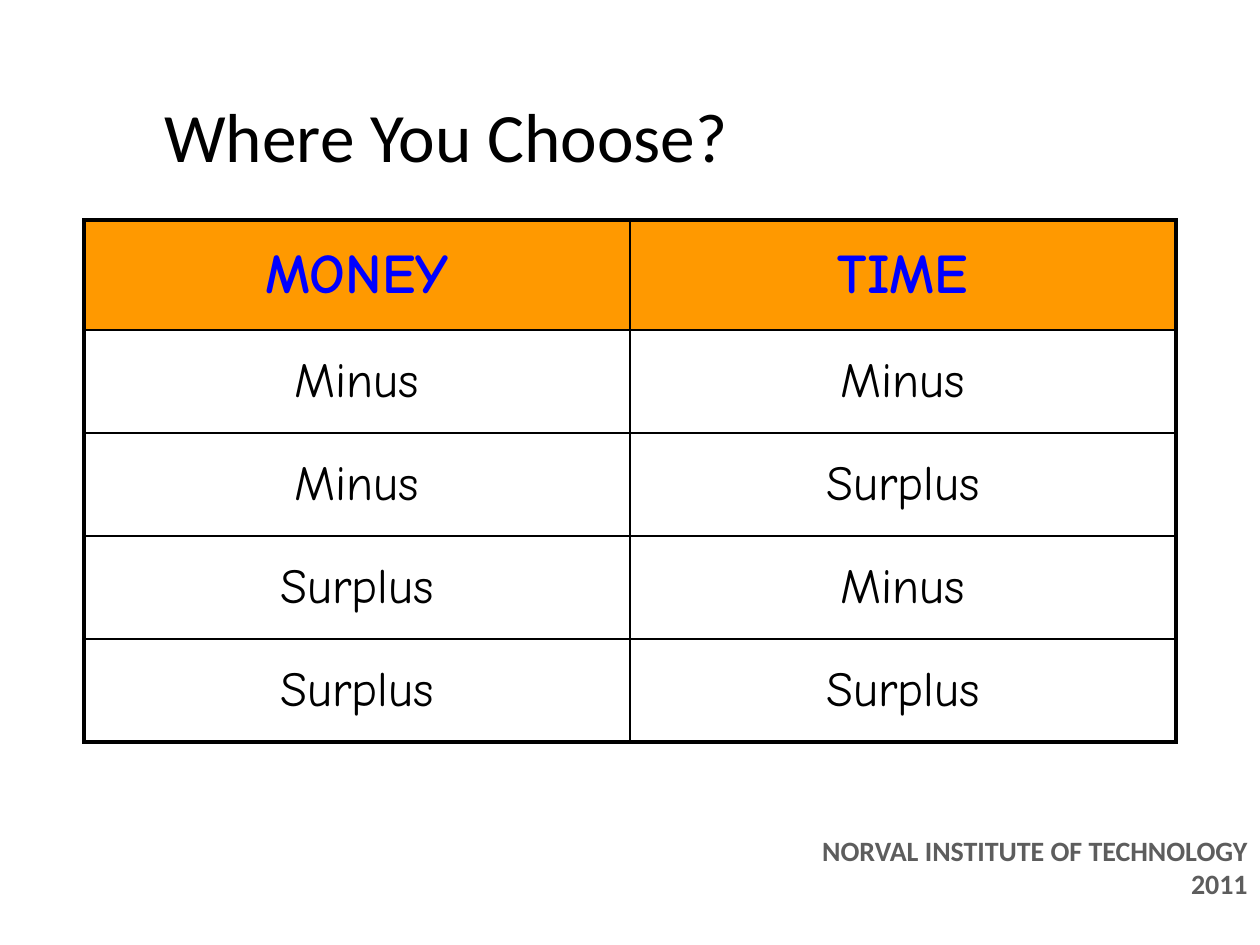
from lxml import etree
from pptx import Presentation
from pptx.dml.color import RGBColor
from pptx.enum.text import MSO_ANCHOR, MSO_AUTO_SIZE, PP_ALIGN
from pptx.oxml.ns import qn
from pptx.util import Emu, Inches, Pt

CENTER, RIGHT = PP_ALIGN.CENTER, PP_ALIGN.RIGHT
MIDDLE = MSO_ANCHOR.MIDDLE
NO_FIT = MSO_AUTO_SIZE.NONE
TITLE_ONLY = 5
PIXEL = Inches(1) / 126
COLORS = {"black": "000000", "orange": "FF9900", "blue": "0000FF", "gray": "5D5D5D"}
THIN, THICK = 1, 2.25


def px(length):
    return Emu(round(length * PIXEL))


def write(frame, text, font="Calibri", size=16, color="black", bold=False,
          align=CENTER, before=0):
    """Fill a text frame, one paragraph for each line of text."""
    for index, line in enumerate(text.split("\n")):
        para = frame.add_paragraph() if index else frame.paragraphs[0]
        para.alignment = align
        para.space_before = Pt(before)
        span = para.add_run()
        span.text = line
        span.font.name = font
        span.font.size = Pt(size)
        span.font.bold = bold
        span.font.color.rgb = RGBColor.from_string(COLORS[color])


class SlideBuilder:
    def __init__(self, slide):
        self.slide = slide
        self.table_font = "Comic Neue"

    def title(self, text, left, top, width, height, **style):
        box = self.slide.shapes.title
        box.left, box.top, box.width, box.height = map(px, (left, top, width, height))
        box.text_frame.auto_size = NO_FIT
        box.text_frame.vertical_anchor = MIDDLE
        write(box.text_frame, text, **style)

    def text(self, text, left, top, width, height, **style):
        box = self.slide.shapes.add_textbox(*map(px, (left, top, width, height)))
        box.text_frame.word_wrap = True
        write(box.text_frame, text, **style)

    def borders(self, cell, widths):
        properties = cell._tc.get_or_add_tcPr()
        for index, (side, width) in enumerate(widths.items()):
            line = etree.Element(qn(f"a:ln{side}"), w=str(Pt(width)))
            fill = etree.SubElement(line, qn("a:solidFill"))
            etree.SubElement(fill, qn("a:srgbClr"), val=COLORS["black"])
            properties.insert(index, line)

    def table(self, rows, left, top, column_width, heights):
        count, columns = len(rows), len(rows[0])
        table = self.slide.shapes.add_table(
            count, columns, px(left), px(top),
            px(column_width * columns), px(sum(heights))).table
        table.first_row = table.horz_banding = False
        for column in table.columns:
            column.width = px(column_width)
        for r, values in enumerate(rows):
            table.rows[r].height = px(heights[r])
            header = r == 0
            size = 32 if header else 28
            for c, value in enumerate(values):
                cell = table.cell(r, c)
                cell.vertical_anchor = MIDDLE
                cell.margin_left = cell.margin_right = Inches(0.13)
                cell.margin_top = cell.margin_bottom = Inches(0.06)
                if header:
                    cell.fill.solid()
                    cell.fill.fore_color.rgb = RGBColor.from_string(COLORS["orange"])
                else:
                    cell.fill.background()
                write(cell.text_frame, value, font=self.table_font, size=size,
                      color="blue" if header else "black", bold=header,
                      before=size * 0.2)
                # Outer edges are thick, inner ones thin
                outer = {"L": c == 0, "R": c == columns - 1,
                         "T": header, "B": r == count - 1}
                self.borders(cell, {side: THICK if edge else THIN
                                    for side, edge in outer.items()})


deck = Presentation()
deck.slide_width, deck.slide_height = Inches(10), Inches(7.5)
page = SlideBuilder(deck.slides.add_slide(deck.slide_layouts[TITLE_ONLY]))

# Footer
page.text("NORVAL INSTITUTE OF TECHNOLOGY\n2011", 709, 827, 551, 81,
          size=16, color="gray", bold=True, align=RIGHT)

# Choices
page.table([("MONEY", "TIME"),
            ("Minus", "Minus"),
            ("Minus", "Surplus"),
            ("Surplus", "Minus"),
            ("Surplus", "Surplus")],
           84, 220, 546, [110] + [103] * 4)

# Title
page.title("Where You Choose?", 10, 67, 872, 136, size=39.6)

deck.save("out.pptx")
